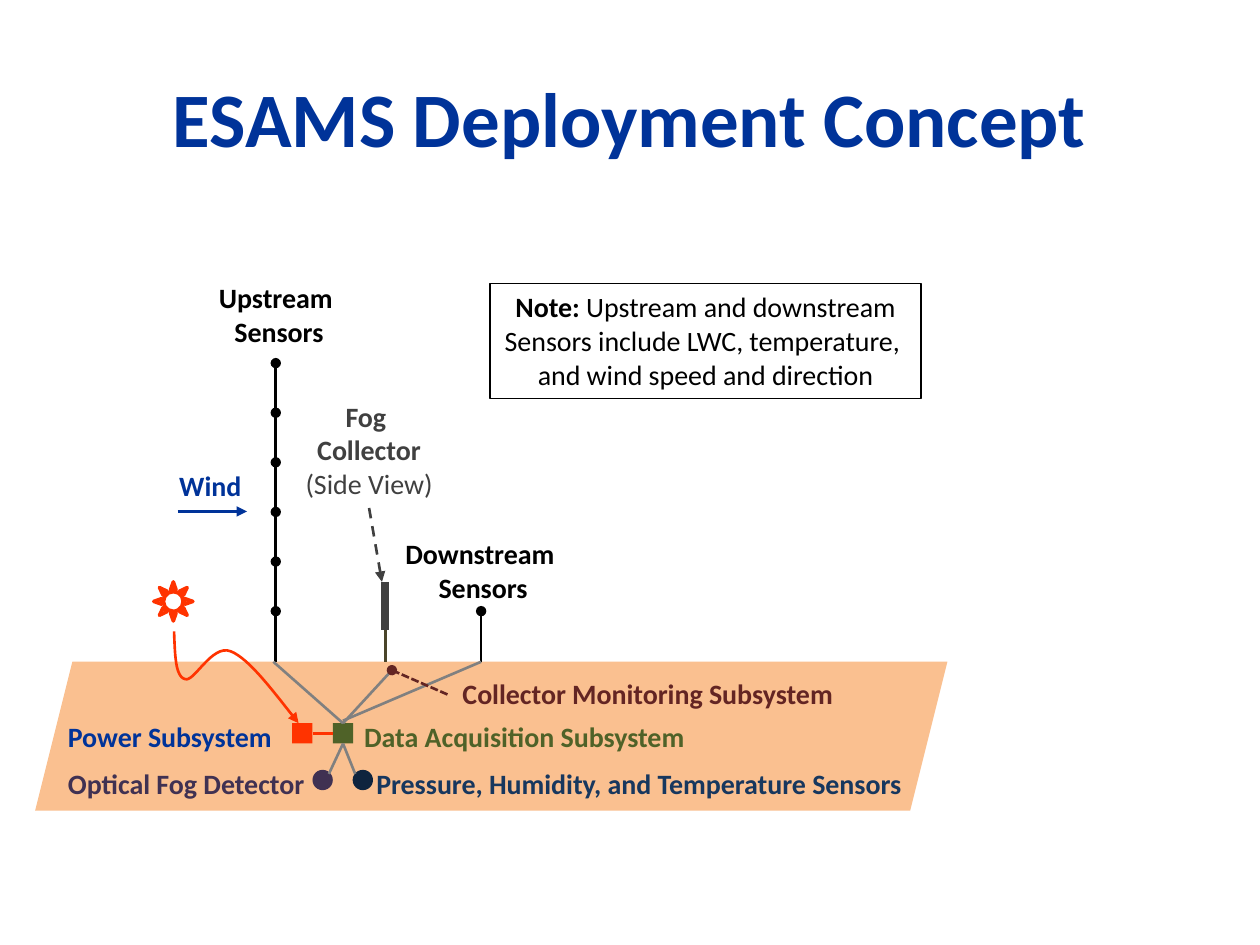
from lxml import etree
from pptx import Presentation
from pptx import util as u
from pptx.dml import color
from pptx.enum import dml, shapes, text
from pptx.oxml import ns

# Content: all lengths in centimetres
BLUE, RED, GREY, BLACK = "003399", "FF3300", "404040", "000000"
GREEN, MAROON, CABLE = "4F6228", "632523", "808080"
GROUND_Y, SENSOR_GAP, SENSOR_TOP = 13.34, 1.0, 12.32
MAST_X, COLLECTOR_X, DOWNSTREAM_X = 5.56, 7.77, 9.7
UNIT = 0.41

# Each label: box, colour, lines; a line is a list of (words, bold)
LABELS = [
    ((5.89, 7.92, 3.1, 2.31), GREY,
     [[("Fog ", True)], [("Collector", True)], [("(Side View)", False)]]),
    ((4.14, 5.54, 2.97, 1.63), BLACK, [[("Upstream ", True)], [("Sensors", True)]]),
    ((7.9, 10.69, 3.68, 1.63), BLACK, [[("Downstream ", True)], [("Sensors", True)]]),
    ((3.35, 9.32, 1.78, 0.94), BLUE, [[("Wind", True)]]),
    ((1.09, 14.38, 4.67, 0.94), BLUE, [[("Power Subsystem", True)]]),
    ((7.04, 14.38, 7.06, 0.94), GREEN, [[("Data Acquisition Subsystem", True)]]),
    ((9.02, 13.51, 8.08, 0.94), MAROON, [[("Collector Monitoring Subsystem", True)]]),
    ((7.26, 15.32, 11.25, 0.94), "17375E",
     [[("Pressure, Humidity, and Temperature Sensors", True)]]),
    ((1.09, 15.32, 5.33, 0.94), "403152", [[("Optical Fog Detector", True)]]),
]
NOTE = [[("Note: ", True), ("Upstream and downstream", False)],
        [("Sensors include LWC, temperature, ", False)],
        [("and wind speed and direction", False)]]

# Solar feed: start point, then Bezier segments (control, control, end)
FEED_START = (3.51, 12.73)
FEED_CURVES = [((3.53, 13.18), (3.53, 13.64), (3.73, 13.69)),
               ((3.91, 13.77), (4.27, 12.98), (4.65, 13.13)),
               ((5.03, 13.28), (5.51, 13.94), (6.02, 14.58))]

deck = Presentation()
deck.slide_width, deck.slide_height = u.Cm(25.4), u.Cm(19.05)
slide = deck.slides.add_slide(deck.slide_layouts[6])


def rgb(value):
    return color.RGBColor.from_string(value)


def cm(values):
    return [u.Cm(v) for v in values]


def apply(target, values):
    for name, value in values.items():
        setattr(target, name, value)


def stroke(part, tint, width, dash=None, end=None):
    part.line.color.rgb = rgb(tint)
    apply(part.line, {"width": u.Pt(width), "dash_style": dash})
    if end:
        etree.SubElement(part.line._get_or_add_ln(), ns.qn("a:tailEnd"), type=end)


def add_line(start, finish, tint, width=1.5, dash=None, end=None):
    line = slide.shapes.add_connector(shapes.MSO_CONNECTOR.STRAIGHT, *cm(start + finish))
    stroke(line, tint, width, dash, end)
    etree.SubElement(line._element.spPr, ns.qn("a:effectLst"))
    return line


def add_part(kind, box, fill=None, outline=None, width=0.75):
    part = slide.shapes.add_shape(kind, *cm(box))
    part.shadow.inherit = False
    if fill:
        part.fill.solid()
        part.fill.fore_color.rgb = rgb(fill)
    else:
        part.fill.background()
    if outline:
        stroke(part, outline, width)
    else:
        part.line.fill.background()
    return part


def write(part, lines, tint, size=16, wrap=False, anchor=text.MSO_ANCHOR.TOP):
    frame = part.text_frame
    apply(frame, {"word_wrap": wrap, "vertical_anchor": anchor})
    if not wrap:
        frame.auto_size = text.MSO_AUTO_SIZE.SHAPE_TO_FIT_TEXT
    for i, line in enumerate(lines):
        paragraph = frame.add_paragraph() if i else frame.paragraphs[0]
        paragraph.alignment = text.PP_ALIGN.CENTER
        for words, bold in line:
            run = paragraph.add_run()
            run.text = words
            apply(run.font, {"name": "Calibri", "size": u.Pt(size), "bold": bold})
            run.font.color.rgb = rgb(tint)


def bezier(points, t):
    weights = ((1 - t) ** 3, 3 * t * (1 - t) ** 2, 3 * t * t * (1 - t), t ** 3)
    return tuple(u.Cm(sum(w * p[axis] for w, p in zip(weights, points))) for axis in (0, 1))


KIND, DASH = shapes.MSO_SHAPE, dml.MSO_LINE

# Ground and title
add_part(KIND.PARALLELOGRAM, (0.71, GROUND_Y, 18.39, 3.0), "FAC090")
title = slide.shapes.add_textbox(*cm((1.27, 0.76, 22.86, 3.18)))
write(title, [[("ESAMS Deployment Concept", True)]], BLUE, 44, True, text.MSO_ANCHOR.MIDDLE)

# Fog collector: post and panel
add_line((COLLECTOR_X, 11.73), (COLLECTOR_X, GROUND_Y), "4A452A")
add_line((COLLECTOR_X, 11.73), (COLLECTOR_X, 12.7), GREY, 4.5)
add_line((7.44, 10.24), (7.7, 11.73), GREY, dash=DASH.DASH, end="triangle")

# Sensor masts: six sensors upstream, one downstream
for x, sensors in ((MAST_X, 6), (DOWNSTREAM_X, 1)):
    below = GROUND_Y
    for i in range(sensors):
        above = SENSOR_TOP - i * SENSOR_GAP
        add_line((x, below), (x, above), BLACK, end="oval")
        below = above

# Wind
add_line((3.58, 10.31), (4.98, 10.31), BLUE, end="triangle")

# Subsystem units
power = add_part(KIND.RECTANGLE, (5.89, 14.58, UNIT, UNIT), RED)
acquisition = add_part(KIND.RECTANGLE, (6.71, 14.58, UNIT, UNIT), GREEN)
add_part(KIND.OVAL, (7.11, 15.52, UNIT, UNIT), "0F243E")
add_part(KIND.OVAL, (6.3, 15.52, UNIT, UNIT), "403152")

# Cables
supply = add_line((6.3, 14.78), (6.71, 14.78), RED)
supply.begin_connect(power, 3)
supply.end_connect(acquisition, 1)
for side, y, finish in ((0, 14.58, (7.9, 13.51)), (0, 14.58, (5.51, GROUND_Y)),
                        (2, 14.99, (7.16, 15.6)), (2, 14.99, (6.63, 15.6))):
    add_line((6.91, y), finish, CABLE).begin_connect(acquisition, side)
add_line((6.91, 14.53), (DOWNSTREAM_X, GROUND_Y), CABLE)
add_line((9.02, 14.0), (7.9, 13.51), MAROON, dash=DASH.SQUARE_DOT, end="oval")

# Sun and its feed to the power unit
add_part(KIND.SUN, (3.1, 11.73, 0.79, 0.79), outline=RED, width=2)
STEPS = 16
feed_points, start = [], FEED_START
for curve in FEED_CURVES:
    feed_points += [bezier((start,) + curve, i / STEPS) for i in range(1, STEPS + 1)]
    start = curve[-1]
builder = slide.shapes.build_freeform(*cm(FEED_START))
builder.add_line_segments(feed_points, close=False)
feed = builder.convert_to_shape()
feed.shadow.inherit = False
feed.fill.background()
stroke(feed, RED, 1.5, end="triangle")

# Labels and note
for box, tint, lines in LABELS:
    write(slide.shapes.add_textbox(*cm(box)), lines, tint)
write(add_part(KIND.RECTANGLE, (9.88, 5.72, 8.69, 2.31), outline=BLACK), NOTE, BLACK)

deck.save("out.pptx")
